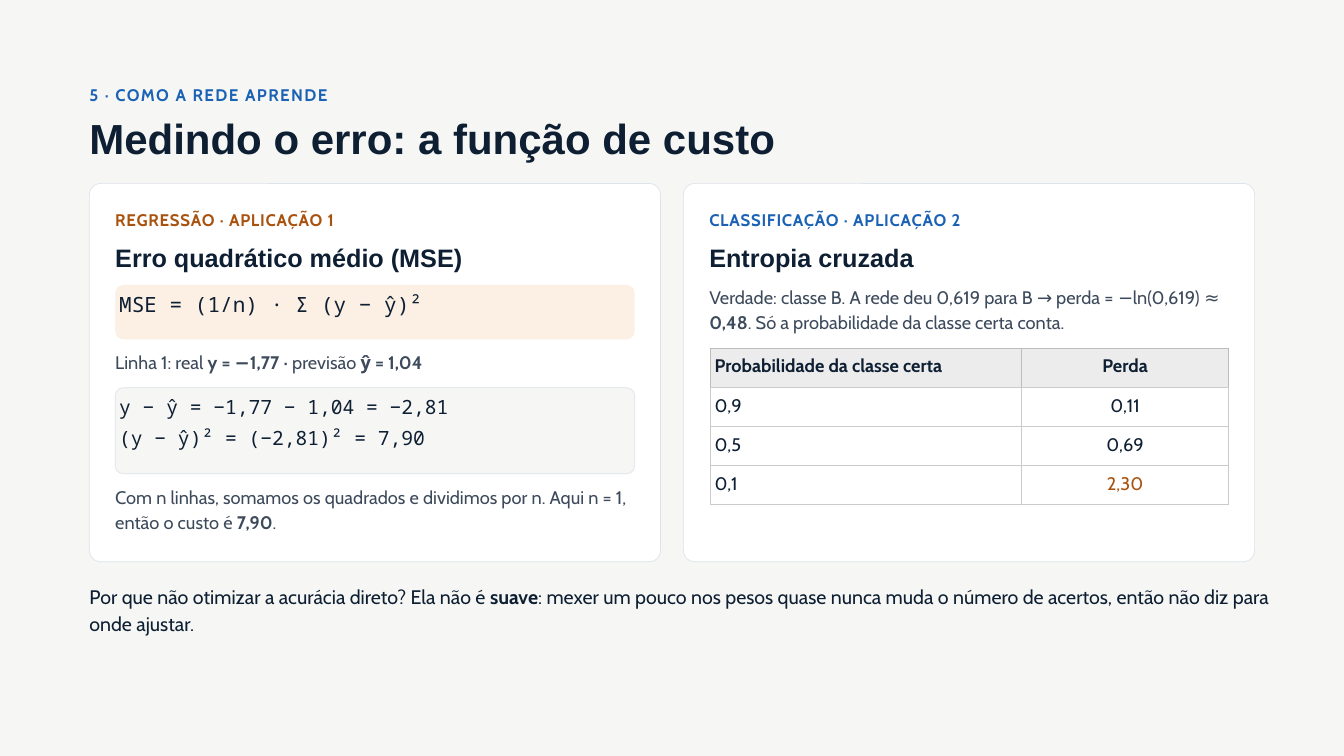
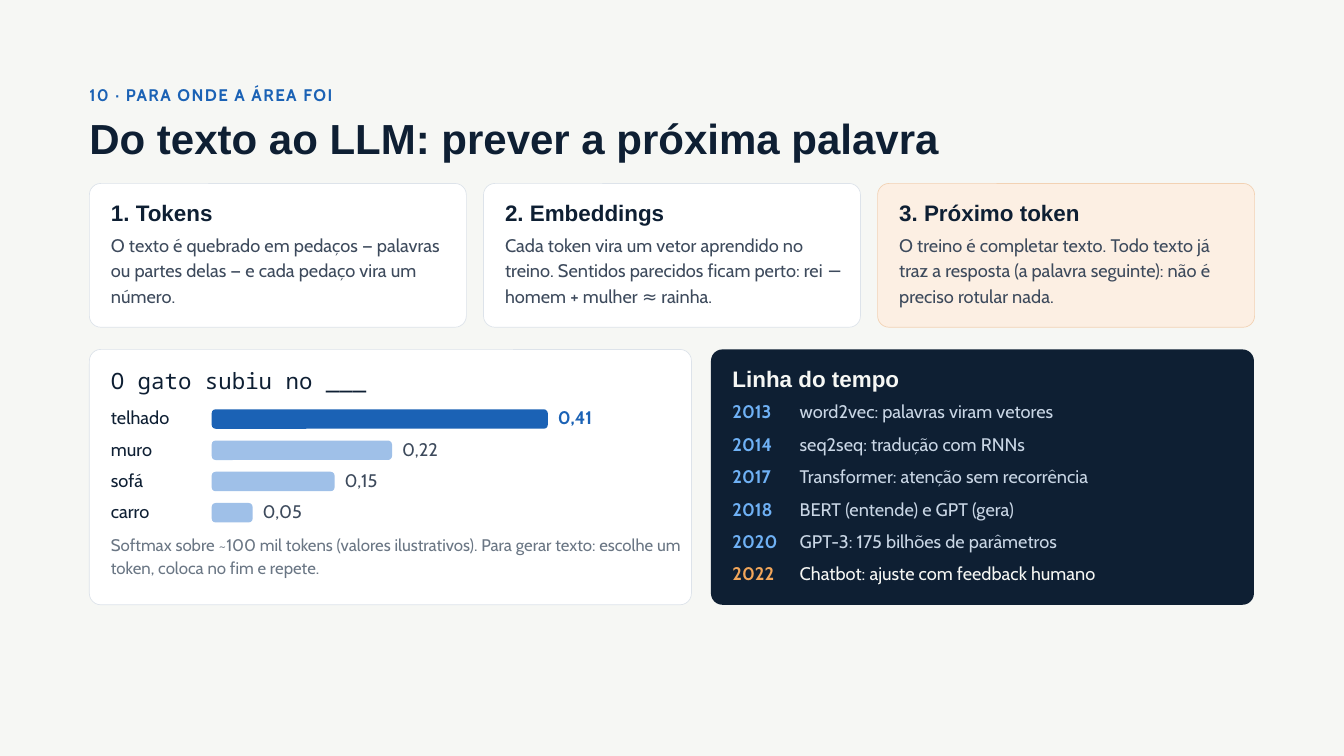
from collections import namedtuple

from lxml import etree
from pptx import Presentation
from pptx.dml.color import RGBColor
from pptx.enum import shapes, text
from pptx.oxml import ns
from pptx.util import Inches, Pt

PAPER = RGBColor(0xF6, 0xF7, 0xF4)
WHITE = RGBColor(0xFF, 0xFF, 0xFF)
NAVY = RGBColor(0x0E, 0x1F, 0x33)
SLATE = RGBColor(0x3D, 0x4A, 0x5C)
GRAY = RGBColor(0x6A, 0x76, 0x84)
MIST = RGBColor(0xDD, 0xE3, 0xEA)
BLUE = RGBColor(0x1B, 0x62, 0xB5)
PALE_BLUE = RGBColor(0x9F, 0xC0, 0xE8)
SKY = RGBColor(0x6F, 0xB1, 0xF5)
ICE = RGBColor(0xC9, 0xD6, 0xE5)
RUST = RGBColor(0xA9, 0x52, 0x0E)
AMBER = RGBColor(0xF2, 0xA6, 0x5A)
PEACH = RGBColor(0xFC, 0xEF, 0xE3)
PEACH_EDGE = RGBColor(0xF2, 0xD2, 0xB4)
HEADER_FILL = RGBColor(0xEC, 0xEC, 0xEC)
HEADER_EDGE = RGBColor(0xBC, 0xBC, 0xBC)
CELL_EDGE = RGBColor(0xCB, 0xCB, 0xCB)

Style = namedtuple("Style", "font size leading color bold tracking", defaults=(False, 0))
Box = namedtuple("Box", "left top width height")

EYEBROW = Style("Cabin", 18, 25.2, BLUE, True, 1.5)
TITLE = Style("Arial", 45, 49.5, NAVY, True)
CARD_TAG = Style("Cabin", 18, 25.2, BLUE, True, 0.8)
CARD_TITLE = Style("Arial", 27, 32.4, NAVY, True)
STEP_TITLE = Style("Arial", 24, 28.8, NAVY, True)
BODY = Style("Cabin", 19.5, 27.3, SLATE)
CLOSING = Style("Cabin", 21, 29.4, NAVY)
CAPTION = Style("Cabin", 18, 25.2, GRAY)
FORMULA = Style("Noto Sans Mono", 22.5, 31.5, NAVY)
WORKING = Style("Noto Sans Mono", 21, 33.6, NAVY)
PROMPT = Style("Noto Sans Mono", 24, 33.6, NAVY)

CONTENT_LEFT, CONTENT_WIDTH = 1.33, 17.34
TEXT_WIDTH = 17.85
CARDS_TOP = 2.73
CELL_PAD = 0.06
BAR_SCALE = 12.2


def write(paragraph, content, style):
    for i, part in enumerate(content.split("**")):
        if not part:
            continue
        run = paragraph.add_run()
        run.text = part
        if "**" in content:
            run.font.bold = i % 2 == 1
        if style.tracking:
            run._r.get_or_add_rPr().set("spc", str(round(style.tracking * 100)))
    paragraph.line_spacing = Pt(style.leading)
    font = paragraph.font
    font.name, font.size = style.font, Pt(style.size)
    font.color.rgb = style.color
    if "**" not in content:
        font.bold = style.bold


def add_text(slide, box, lines, style, pad=0):
    frame = slide.shapes.add_textbox(*map(Inches, box)).text_frame
    frame.word_wrap = True
    frame.margin_left = frame.margin_right = Inches(pad)
    frame.margin_top = frame.margin_bottom = Inches(pad)
    for i, line in enumerate(lines.split("\n")):
        write(frame.add_paragraph() if i else frame.paragraphs[0], line, style)


def add_panel(slide, box, fill, edge=None, radius=0.17):
    panel = slide.shapes.add_shape(shapes.MSO_SHAPE.ROUNDED_RECTANGLE, *map(Inches, box))
    panel.adjustments[0] = radius / min(box.width, box.height)
    panel.shadow.inherit = False
    panel.fill.solid()
    panel.fill.fore_color.rgb = fill
    if edge is None:
        panel.line.fill.background()
    else:
        panel.line.color.rgb = edge
        panel.line.width = Pt(0.75)


def new_slide(deck, eyebrow, title):
    slide = deck.slides.add_slide(deck.slide_layouts[6])
    slide.background.fill.solid()
    slide.background.fill.fore_color.rgb = PAPER
    add_text(slide, Box(CONTENT_LEFT, 1.21, TEXT_WIDTH, 0.43), eyebrow, EYEBROW)
    add_text(slide, Box(CONTENT_LEFT, 1.73, TEXT_WIDTH, 0.71), title, TITLE)
    return slide


def columns(count, width, top, height):
    step = (CONTENT_WIDTH - width) / (count - 1)
    return [Box(CONTENT_LEFT + i * step, top, width, height) for i in range(count)]


def cost_card(slide, box, tag, tag_color, title):
    add_panel(slide, box, WHITE, MIST)
    left, width = box.left + 0.385, box.width - 0.53
    add_text(slide, Box(left, box.top + 0.34, width, 0.43), tag,
             CARD_TAG._replace(color=tag_color))
    add_text(slide, Box(left, box.top + 0.87, width, 0.51), title, CARD_TITLE)
    return left, width


def regression_card(slide, box):
    left, width = cost_card(slide, box, "REGRESSÃO · APLICAÇÃO 1", RUST,
                            "Erro quadrático médio (MSE)")
    inner = box.width - 0.77
    add_panel(slide, Box(left, box.top + 1.51, inner, 0.81), PEACH, radius=0.12)
    add_text(slide, Box(left, box.top + 1.48, inner, 0.84),
             "MSE = (1/n) · Σ (y − ŷ)²", FORMULA, CELL_PAD)
    add_text(slide, Box(left, box.top + 2.45, width, 0.46),
             "Linha 1: real **y = −1,77** · previsão **ŷ = 1,04**", BODY)
    add_panel(slide, Box(left, box.top + 3.04, inner, 1.28), PAPER, MIST, radius=0.12)
    add_text(slide, Box(left, box.top + 2.97, inner, 1.35),
             "y − ŷ = −1,77 − 1,04 = −2,81\n(y − ŷ)² = (−2,81)² = 7,90", WORKING, CELL_PAD)
    add_text(slide, Box(left, box.top + 4.45, width, 0.84),
             "Com n linhas, somamos os quadrados e dividimos por n. "
             "Aqui n = 1, então o custo é **7,90**.", BODY)


def set_borders(cell, color):
    props = cell._tc.get_or_add_tcPr()
    for side in ("lnL", "lnR", "lnT", "lnB"):
        line = etree.SubElement(props, ns.qn(f"a:{side}"), w=str(Pt(1)))
        fill = etree.SubElement(line, ns.qn("a:solidFill"))
        etree.SubElement(fill, ns.qn("a:srgbClr"), val=str(color))


def loss_table(slide, box):
    rows = [("Probabilidade da classe certa", "Perda"),
            ("0,9", "0,11"), ("0,5", "0,69"), ("0,1", "2,30")]
    table = slide.shapes.add_table(len(rows), 2, *map(Inches, box)).table
    table.first_row = table.horz_banding = False
    for column, share in zip(table.columns, (0.6, 0.4)):
        column.width = Inches(box.width * share)
    for r, row in enumerate(rows):
        table.rows[r].height = Inches(box.height / len(rows))
        for c, content in enumerate(row):
            cell = table.cell(r, c)
            cell.margin_left = cell.margin_right = Inches(CELL_PAD)
            cell.margin_top = cell.margin_bottom = Inches(CELL_PAD)
            set_borders(cell, CELL_EDGE if r else HEADER_EDGE)
            if r:
                cell.fill.background()
            else:
                cell.fill.solid()
                cell.fill.fore_color.rgb = HEADER_FILL
            paragraph = cell.text_frame.paragraphs[0]
            color = RUST if content == "2,30" else NAVY
            write(paragraph, content, BODY._replace(color=color, bold=r == 0))
            if c:
                paragraph.alignment = text.PP_ALIGN.CENTER


def classification_card(slide, box):
    left, width = cost_card(slide, box, "CLASSIFICAÇÃO · APLICAÇÃO 2", BLUE,
                            "Entropia cruzada")
    add_text(slide, Box(left, box.top + 1.47, width, 0.84),
             "Verdade: classe B. A rede deu 0,619 para B → perda = −ln(0,619) ≈ **0,48**. "
             "Só a probabilidade da classe certa conta.", BODY)
    loss_table(slide, Box(left + 0.02, box.top + 2.45, 7.71, 2.33))


def cost_slide(deck):
    slide = new_slide(deck, "5 · COMO A REDE APRENDE", "Medindo o erro: a função de custo")
    regression, classification = columns(2, 8.5, CARDS_TOP, 5.63)
    regression_card(slide, regression)
    classification_card(slide, classification)
    add_text(slide, Box(CONTENT_LEFT, 8.64, TEXT_WIDTH, 0.91),
             "Por que não otimizar a acurácia direto? Ela não é **suave**: mexer um pouco nos "
             "pesos quase nunca muda o número de acertos, então não diz para onde ajustar.",
             CLOSING)


def step_card(slide, box, title, body, fill, edge):
    add_panel(slide, box, fill, edge)
    left, width = box.left + 0.32, box.width - 0.49
    add_text(slide, Box(left, box.top + 0.24, width, 0.45), title, STEP_TITLE)
    add_text(slide, Box(left, box.top + 0.7, width, 1.22), body, BODY)


def prediction_card(slide, box):
    words = [("telhado", 0.41), ("muro", 0.22), ("sofá", 0.15), ("carro", 0.05)]
    best = max(chance for _, chance in words)
    add_panel(slide, box, WHITE, MIST)
    left, width = box.left + 0.32, box.width - 0.39
    add_text(slide, Box(left, box.top + 0.2, width, 0.56), "O gato subiu no ___", PROMPT)
    for i, (word, chance) in enumerate(words):
        top = box.top + 0.8 + i * 0.465
        bar = Box(left + 1.5, top + 0.09, chance * BAR_SCALE, 0.29)
        is_best = chance == best
        add_text(slide, Box(left, top, 1.44, 0.46), word, BODY._replace(color=NAVY))
        add_panel(slide, bar, BLUE if is_best else PALE_BLUE, radius=0.06)
        add_text(slide, Box(bar.left + bar.width + 0.15, top, 0.68, 0.46),
                 f"{chance:.2f}".replace(".", ","),
                 BODY._replace(color=BLUE if is_best else SLATE, bold=is_best))
    add_text(slide, Box(left, box.top + 2.7, width, 0.78),
             "Softmax sobre ~100 mil tokens (valores ilustrativos). "
             "Para gerar texto: escolhe um token, coloca no fim e repete.", CAPTION)


def timeline_card(slide, box):
    events = [("2013", "word2vec: palavras viram vetores"),
              ("2014", "seq2seq: tradução com RNNs"),
              ("2017", "Transformer: atenção sem recorrência"),
              ("2018", "BERT (entende) e GPT (gera)"),
              ("2020", "GPT-3: 175 bilhões de parâmetros"),
              ("2022", "Chatbot: ajuste com feedback humano")]
    add_panel(slide, box, NAVY)
    left = box.left + 0.32
    add_text(slide, Box(left, box.top + 0.24, box.width - 0.4, 0.45), "Linha do tempo",
             STEP_TITLE._replace(color=PAPER))
    for i, (year, event) in enumerate(events):
        top = box.top + 0.71 + i * 0.482
        year_color, event_color = (AMBER, PAPER) if year == "2022" else (SKY, ICE)
        add_text(slide, Box(left, top, 0.92, 0.46), year,
                 BODY._replace(color=year_color, bold=True))
        add_text(slide, Box(left + 1, top, 6.65, 0.46), event,
                 BODY._replace(color=event_color))


def language_model_slide(deck):
    slide = new_slide(deck, "10 · PARA ONDE A ÁREA FOI",
                      "Do texto ao LLM: prever a próxima palavra")
    steps = [
        ("1. Tokens", "O texto é quebrado em pedaços — palavras ou partes delas — "
         "e cada pedaço vira um número.", WHITE, MIST),
        ("2. Embeddings", "Cada token vira um vetor aprendido no treino. Sentidos parecidos "
         "ficam perto: rei − homem + mulher ≈ rainha.", WHITE, MIST),
        ("3. Próximo token", "O treino é completar texto. Todo texto já traz a resposta "
         "(a palavra seguinte): não é preciso rotular nada.", PEACH, PEACH_EDGE),
    ]
    for box, step in zip(columns(3, 5.61, CARDS_TOP, 2.14), steps):
        step_card(slide, box, *step)
    prediction_card(slide, Box(CONTENT_LEFT, 5.2, 8.96, 3.8))
    timeline_card(slide, Box(10.58, 5.2, 8.08, 3.8))


def main():
    deck = Presentation()
    deck.slide_width, deck.slide_height = Inches(20), Inches(11.25)
    cost_slide(deck)
    language_model_slide(deck)
    deck.save("out.pptx")


if __name__ == "__main__":
    main()
